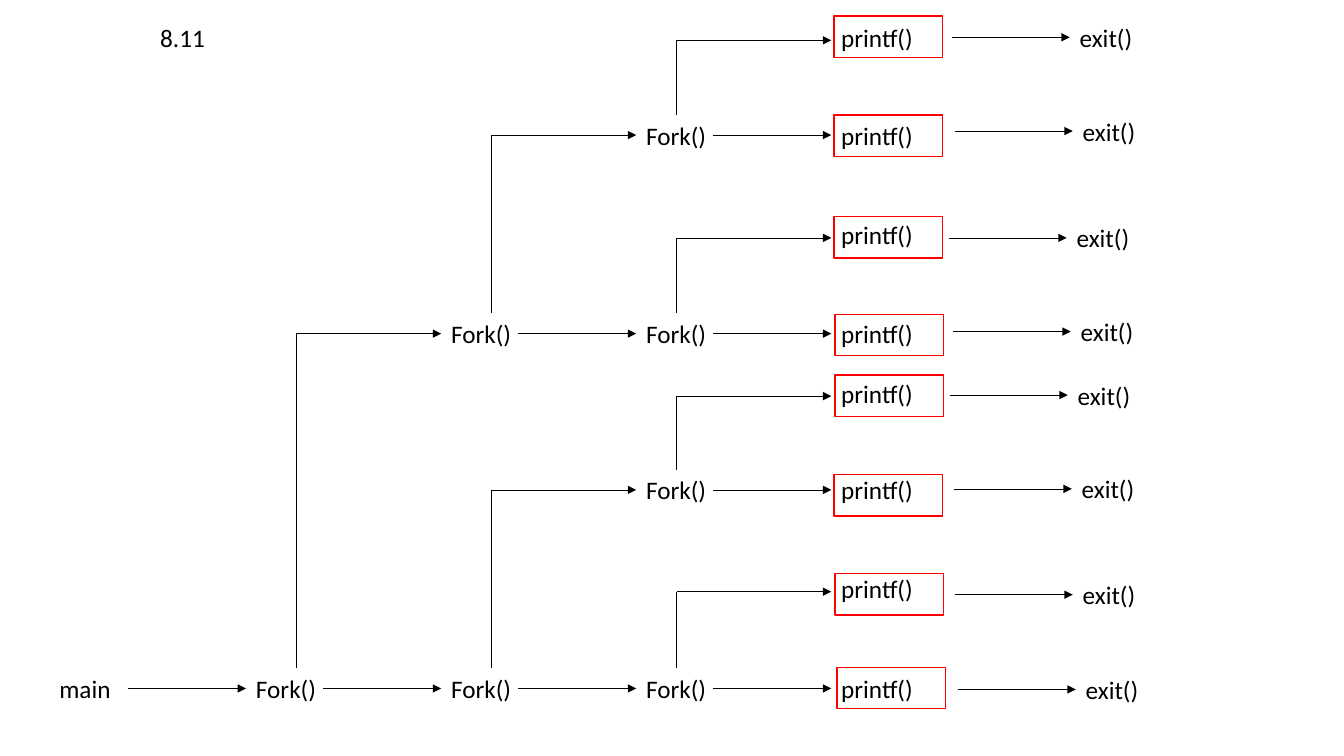
from pptx import Presentation, util as u
from pptx.dml.color import RGBColor
from pptx.enum import shapes, text
from pptx.oxml.ns import qn
from lxml import etree

deck = Presentation()
deck.slide_width, deck.slide_height = u.Inches(13.33), u.Inches(7.5)
page = deck.slides.add_slide(deck.slide_layouts[6]).shapes

COLS = [2.44 + 1.935 * i for i in range(4)]  # three forks, then printf
ROWS = [0.4, 1.34, 2.36, 3.31, 3.93, 4.86, 5.87, 6.83]
STEP = 1.17  # length of a level arrow
HALF = 0.2  # half the height of a label

# Per row: left and top of the red frame, left and middle of exit()
ENDS = [
    (8.27, 0.16, 10.61, 0.37),
    (8.27, 1.14, 10.64, 1.3),
    (8.27, 2.15, 10.58, 2.36),
    (8.28, 3.12, 10.62, 3.29),
    (8.28, 3.72, 10.59, 3.92),
    (8.27, 4.71, 10.63, 4.85),
    (8.28, 5.69, 10.64, 5.9),
    (8.3, 6.62, 10.67, 6.84),
]


def label(words, x, y, width=0.99, size=18, font="Calibri", color="000000"):
    """Write words in a box whose left edge is x and whose middle is y."""
    box = page.add_textbox(*map(u.Inches, (x, y - HALF, width, 2 * HALF)))
    frame = box.text_frame
    frame.word_wrap = True
    frame.auto_size = text.MSO_AUTO_SIZE.SHAPE_TO_FIT_TEXT
    run = frame.paragraphs[0].add_run()
    run.text = words
    run.font.size, run.font.name = u.Pt(size), font
    run.font.color.rgb = RGBColor.from_string(color)


def rule(x1, y1, x2, y2, head=True):
    """Draw a thin black line, with an arrowhead at its end if head is set."""
    line = page.add_connector(
        shapes.MSO_CONNECTOR.STRAIGHT, *map(u.Inches, (x1, y1, x2, y2)))
    line.line.color.rgb = RGBColor.from_string("000000")
    line.line.width = u.Pt(0.5)
    if head:
        etree.SubElement(line.line._get_or_add_ln(), qn("a:tailEnd"), type="triangle")
    etree.SubElement(line._element.spPr, qn("a:effectLst"))


label("8.11", 1.49, 0.37, width=1.94)
label("main", 0.49, ROWS[-1], width=0.78)
rule(COLS[0] - STEP, ROWS[-1], COLS[0], ROWS[-1])

# Each fork goes on along its own row and starts a child on a higher one
for c in range(3):
    x, end = COLS[c], COLS[c + 1]
    stem = x + (0.4 if c == 2 else 0.5)
    for r in range(7, -1, -(8 >> c)):
        y, top = ROWS[r], ROWS[r - (4 >> c)]
        label("Fork()", x, y)
        rule(end - STEP, y, end, y)
        rule(stem, y - HALF, stem, top, head=False)
        rule(stem, top, end, top)

for r, (left, top, x, y) in enumerate(ENDS):
    lift = 0 if r % 2 else 0.03
    label("printf()", COLS[3], ROWS[r] - lift)
    box = page.add_shape(
        shapes.MSO_SHAPE.RECTANGLE, *map(u.Inches, (left, top, 1.08, 0.41)))
    box.shadow.inherit = False
    box.fill.background()
    box.line.color.rgb = RGBColor.from_string("FF0000")
    box.line.width = u.Pt(1)
    rule(x - STEP, y, x, y)
    label("exit()", x, y)

deck.save("out.pptx")
